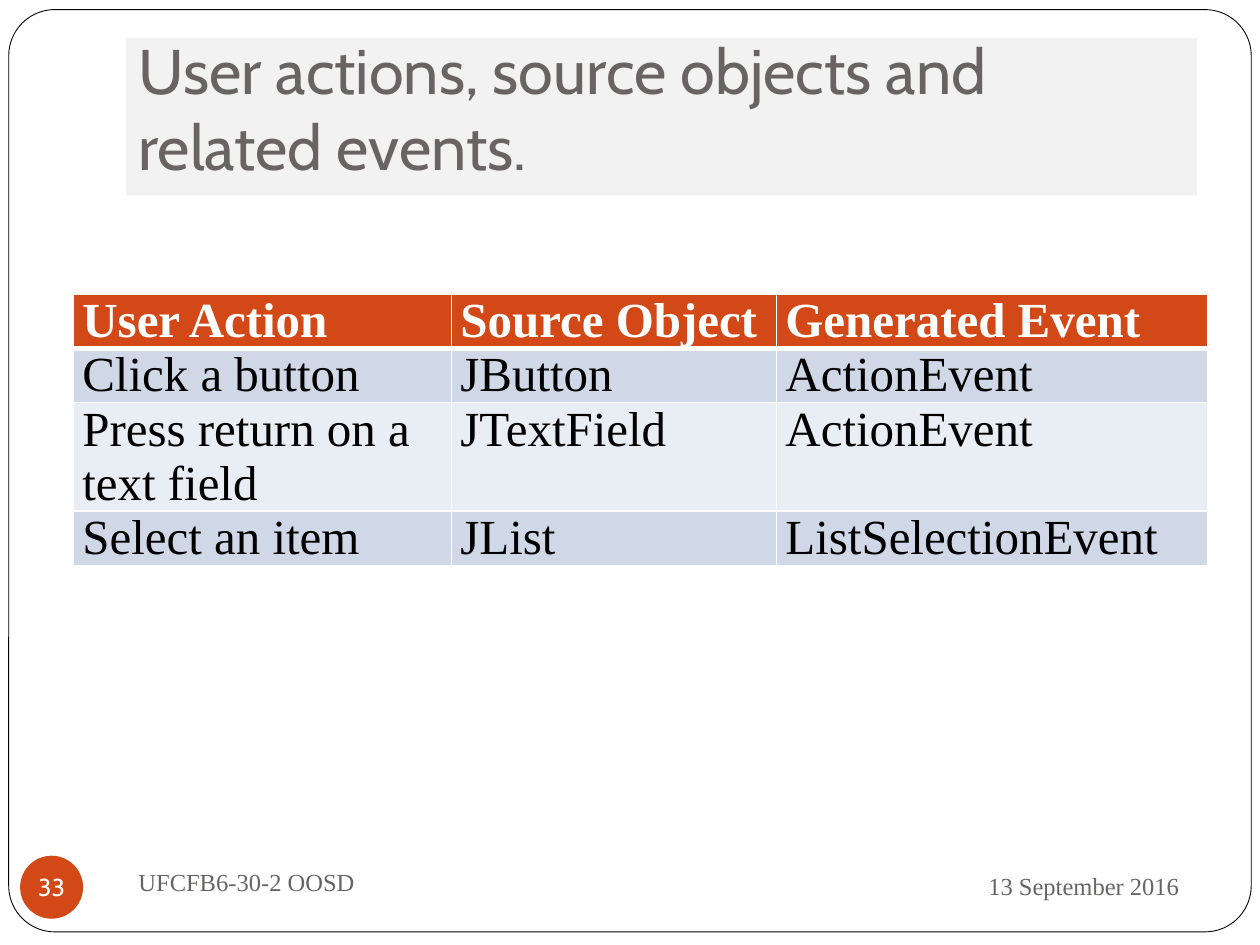
from pptx import Presentation
from pptx.dml.color import RGBColor
from pptx.enum.shapes import MSO_SHAPE as Shape
from pptx.enum.text import MSO_ANCHOR as Anchor, PP_ALIGN as Align
from pptx.oxml import parse_xml
from pptx.oxml.ns import nsdecls
from pptx.util import Pt

TITLE = "User actions, source objects and related events."
FOOTER = "UFCFB6-30-2 OOSD"
DATE = "13 September 2016"
NUMBER = "33"
ROWS = [
    ("User Action", "Source Object", "Generated Event"),
    ("Click a button", "JButton", "ActionEvent"),
    ("Press return on a text field", "JTextField", "ActionEvent"),
    ("Select an item", "JList", "ListSelectionEvent"),
]
COLUMN_WIDTHS = (216, 185.76, 246.24)
ROW_HEIGHT = 29.5
COLORS = {
    "white": "FFFFFF", "black": "000000", "grey": "696464", "panel": "F2F2F2",
    "accent": "D34817", "odd": "D0D8E8", "even": "E9EDF4",
}
SANS, SERIF = "Cabin", "Times New Roman"


def rgb(name):
    return RGBColor.from_string(COLORS[name])


def style(paragraph, font_name, size, color, bold=False):
    font = paragraph.font
    font.name, font.size, font.bold = font_name, Pt(size), bold
    font.color.rgb = rgb(color)


def add_box(slide, kind, box, fill, line=None):
    shape = slide.shapes.add_shape(kind, *map(Pt, box))
    shape.shadow.inherit = False
    shape.fill.solid()
    shape.fill.fore_color.rgb = rgb(fill)
    if line:
        shape.line.color.rgb = rgb(line)
        shape.line.width = Pt(0.5)
    else:
        shape.line.fill.background()
    return shape


def write(shape, text, font_name, size, color, align=Align.LEFT,
          anchor=Anchor.MIDDLE, insets=(7.2, 3.6, 7.2, 3.6), wrap=True):
    frame = shape.text_frame
    frame.word_wrap, frame.vertical_anchor = wrap, anchor
    (frame.margin_left, frame.margin_top,
     frame.margin_right, frame.margin_bottom) = map(Pt, insets)
    paragraph = frame.paragraphs[0]
    paragraph.text, paragraph.alignment = text, align
    style(paragraph, font_name, size, color)


def set_borders(cell, top, bottom):
    properties = cell._tc.get_or_add_tcPr()
    widths = {"lnL": 1, "lnR": 1, "lnT": top, "lnB": bottom}
    for index, (tag, width) in enumerate(widths.items()):
        properties.insert(index, parse_xml(
            f'<a:{tag} {nsdecls("a")} w="{Pt(width)}"><a:solidFill>'
            f'<a:srgbClr val="{COLORS["white"]}"/></a:solidFill></a:{tag}>'))


def add_event_table(slide):
    table = slide.shapes.add_table(
        len(ROWS), len(COLUMN_WIDTHS), Pt(42), Pt(168),
        Pt(sum(COLUMN_WIDTHS)), Pt(ROW_HEIGHT * len(ROWS))).table
    for column, width in zip(table.columns, COLUMN_WIDTHS):
        column.width = Pt(width)
    for r, texts in enumerate(ROWS):
        table.rows[r].height = Pt(ROW_HEIGHT)
        header = r == 0
        fill = "accent" if header else "odd" if r % 2 else "even"
        for c, text in enumerate(texts):
            cell = table.cell(r, c)
            cell.margin_left = cell.margin_right = Pt(5.1)
            cell.margin_top = cell.margin_bottom = 0
            cell.fill.solid()
            cell.fill.fore_color.rgb = rgb(fill)
            # The rule below the header is thicker
            set_borders(cell, 3 if r == 1 else 1, 3 if header else 1)
            paragraph = cell.text_frame.paragraphs[0]
            paragraph.text = text
            style(paragraph, SERIF, 28, "white" if header else "black", header)


def main():
    presentation = Presentation()
    presentation.slide_width, presentation.slide_height = Pt(720), Pt(540)
    slide = presentation.slides.add_slide(presentation.slide_layouts[6])

    # Rounded frame around the slide
    frame = add_box(slide, Shape.ROUNDED_RECTANGLE, (5, 5.5, 710, 527),
                    "white", "black")
    frame.adjustments[0] = 0.05

    # Title panel
    title = add_box(slide, Shape.RECTANGLE, (72, 21.6, 612, 90), "panel")
    write(title, TITLE, SANS, 36, "grey", anchor=Anchor.BOTTOM,
          insets=(7.2, 3.6, 7.2, 7.2))

    add_event_table(slide)

    # Date and footer
    for text, box, align in (
            (DATE, (486, 487.5, 195, 37.5), Align.RIGHT),
            (FOOTER, (72, 486, 312, 36), Align.LEFT)):
        text_box = slide.shapes.add_textbox(*map(Pt, box))
        write(text_box, text, SERIF, 14, "grey", align)

    # Slide number badge
    badge = add_box(slide, Shape.OVAL, (11.5, 489, 36, 36), "accent")
    write(badge, NUMBER, SANS, 14, "white", Align.CENTER,
          insets=(0, 0, 0, 0), wrap=False)

    presentation.save("out.pptx")


if __name__ == "__main__":
    main()
